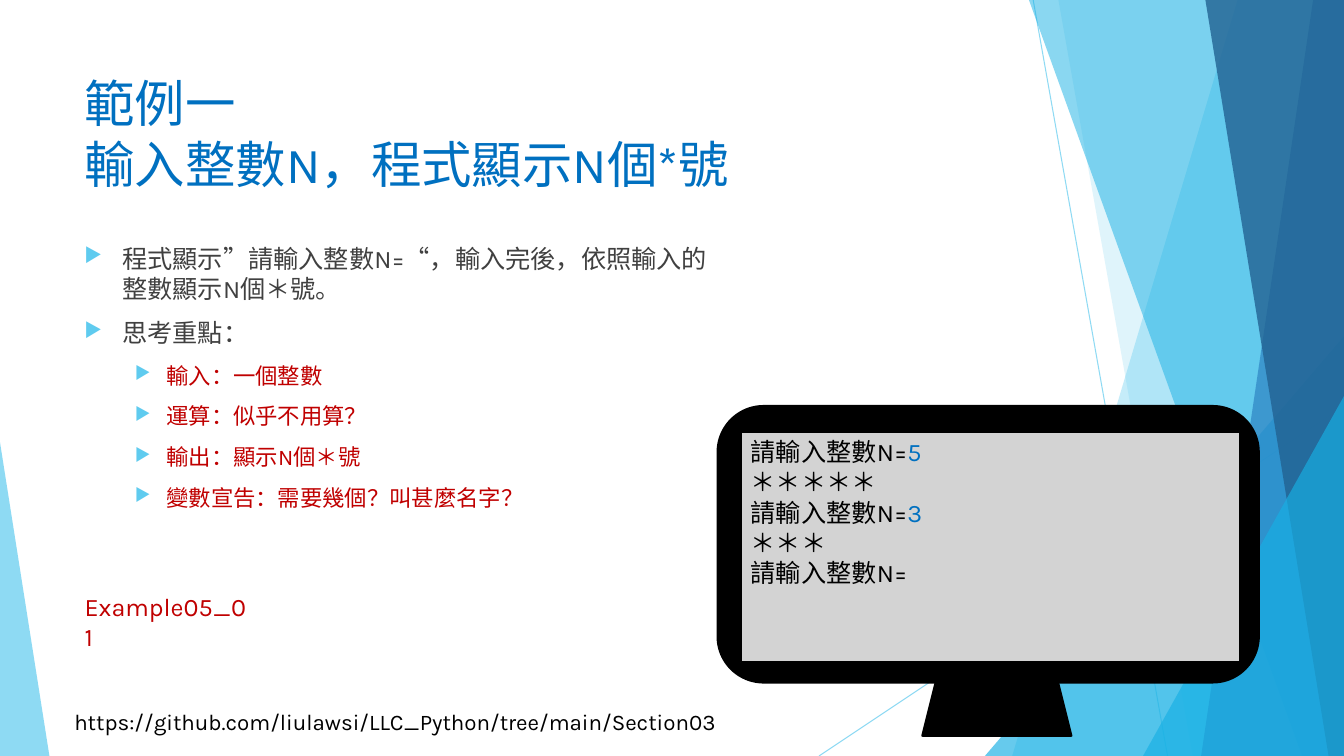
from lxml import etree
from pptx import Presentation
from pptx.dml.color import RGBColor
from pptx.enum.shapes import MSO_CONNECTOR, MSO_SHAPE
from pptx.enum.text import MSO_ANCHOR, PP_ALIGN
from pptx.oxml.ns import qn
from pptx.util import Pt

LINE = MSO_CONNECTOR.STRAIGHT
TRI = MSO_SHAPE.ISOSCELES_TRIANGLE
TOP, LEFT = MSO_ANCHOR.TOP, PP_ALIGN.LEFT
FONT = "Karla"
HEX = {
    "sky": "5FCBEF", "aqua": "17B0E4", "blue": "2E83C3", "navy": "226292",
    "title": "0070C0", "red": "C00000", "gray": "404040",
    "screen": "D3D3D3", "black": "000000",
}

prs = Presentation()
prs.slide_width, prs.slide_height = Pt(960), Pt(540)
slide = prs.slides.add_slide(prs.slide_layouts[6])
shapes = slide.shapes


def paint(fill, color, alpha=100):
    """Solid colour with an opacity in percent."""
    fill.solid()
    fill.fore_color.rgb = RGBColor.from_string(HEX[color])
    if alpha < 100:
        tag = fill._xPr.find(qn("a:solidFill"))[0]
        etree.SubElement(tag, qn("a:alpha"), val=str(alpha * 1000))


def write(frame, lines, size, color):
    """Left-aligned lines of one size and colour, from the top down."""
    frame.word_wrap = True
    frame.vertical_anchor = TOP
    frame.text = "\n".join(lines)
    for para in frame.paragraphs:
        para.alignment = LEFT
        para.font.name, para.font.size = FONT, Pt(size)
        para.font.color.rgb = RGBColor.from_string(HEX[color])


# Thin lines behind the facets
for x1, y1, x2, y2 in [(738, 0, 834, 540), (960, 290, 585, 540)]:
    ray = shapes.add_connector(LINE, Pt(x1), Pt(y1), Pt(x2), Pt(y2))
    ray.line.width = Pt(0.75)
    paint(ray.line.fill, "sky", 70)
    etree.SubElement(ray._element.spPr, qn("a:effectLst"))

# Facets: a slanted left edge (top x, foot x), or a triangle
# (left, top, width, height, apex)
facets = [
    ((884, 723), "sky", 36),
    ((756, 852), "sky", 20),
    ((703.5, 240, 256.5, 300, 1), "aqua", 66),
    ((735, 929.5), "aqua", 50),
    ((938, 858), "blue", 70),
    ((861, 949), "navy", 80),
    ((816.5, 283, 143.5, 257, 1), "aqua", 66),
    ((0, 316, 35.3, 224, 0), "sky", 70),
]
for geom, color, alpha in facets:
    if len(geom) == 2:
        head, foot = geom
        pen = shapes.build_freeform(head, 0, scale=Pt(1))
        pen.add_line_segments([(960, 0), (960, 540), (foot, 540)])
        facet = pen.convert_to_shape()
    else:
        facet = shapes.add_shape(TRI, *map(Pt, geom[:4]))
        facet.adjustments[0] = geom[4]
    facet.shadow.inherit = False
    facet.line.fill.background()
    paint(facet.fill, color, alpha)

# Link, title and file name
labels = [
    ((46, 502, 543, 26.6), 16, "black",
     "https://github.com/liulawsi/LLC_Python/tree/main/Section03"),
    ((53.3, 48, 677, 104), 36, "title", "範例一\v輸入整數N，程式顯示N個*號"),
    ((53.3, 419, 132, 29), 18, "red", "Example05_01"),
]
for box, size, color, text in labels:
    label = shapes.add_textbox(*map(Pt, box))
    write(label.text_frame, [text], size, color)

# Bulleted task
tasks = [
    (0, "程式顯示”請輸入整數N=“，輸入完後，依照輸入的整數顯示N個＊號。"),
    (0, "思考重點："),
    (1, "輸入：一個整數"),
    (1, "運算：似乎不用算？"),
    (1, "輸出：顯示N個＊號"),
    (1, "變數宣告：需要幾個？叫甚麼名字？"),
]
levels = [(27, 27, 18, "gray"), (58.5, 22.5, 16, "red")]
frame = shapes.add_textbox(Pt(53.3), Pt(170), Pt(476), Pt(305)).text_frame
frame.word_wrap = True
for i, (level, text) in enumerate(tasks):
    para = frame.paragraphs[0] if i == 0 else frame.add_paragraph()
    margin, hang, size, color = levels[level]
    para.text, para.level = text, level
    para.space_before = Pt(10 if i else 0)
    props = para._p.get_or_add_pPr()
    props.set("marL", str(Pt(margin)))
    props.set("indent", str(-Pt(hang)))
    tint = etree.SubElement(props, qn("a:buClr"))
    etree.SubElement(tint, qn("a:srgbClr"), val=HEX["sky"])
    etree.SubElement(props, qn("a:buSzPct"), val="80000")
    etree.SubElement(props, qn("a:buChar"), char="▶")
    para.font.name, para.font.size = FONT, Pt(size)
    para.font.color.rgb = RGBColor.from_string(HEX[color])

# Monitor: case, foot and screen
parts = [
    (MSO_SHAPE.ROUNDED_RECTANGLE, (512.6, 290, 386.6, 197.5), "black"),
    (MSO_SHAPE.TRAPEZOID, (658.8, 487.5, 106.5, 38), "black"),
    (MSO_SHAPE.RECTANGLE, (529.2, 308.2, 356.4, 164.9), "screen"),
]
for kind, box, color in parts:
    part = shapes.add_shape(kind, *map(Pt, box))
    part.shadow.inherit = False
    paint(part.fill, color)
    paint(part.line.fill, "black")
    part.line.width = Pt(1.5)

# Screen text, with the typed numbers in blue
ask = "請輸入整數N="
write(part.text_frame, [ask, "＊" * 5, ask, "＊" * 3, ask], 18, "black")
for row, typed in [(0, "5"), (2, "3")]:
    run = part.text_frame.paragraphs[row].add_run()
    run.text = typed
    run.font.color.rgb = RGBColor.from_string(HEX["title"])

prs.save("out.pptx")
